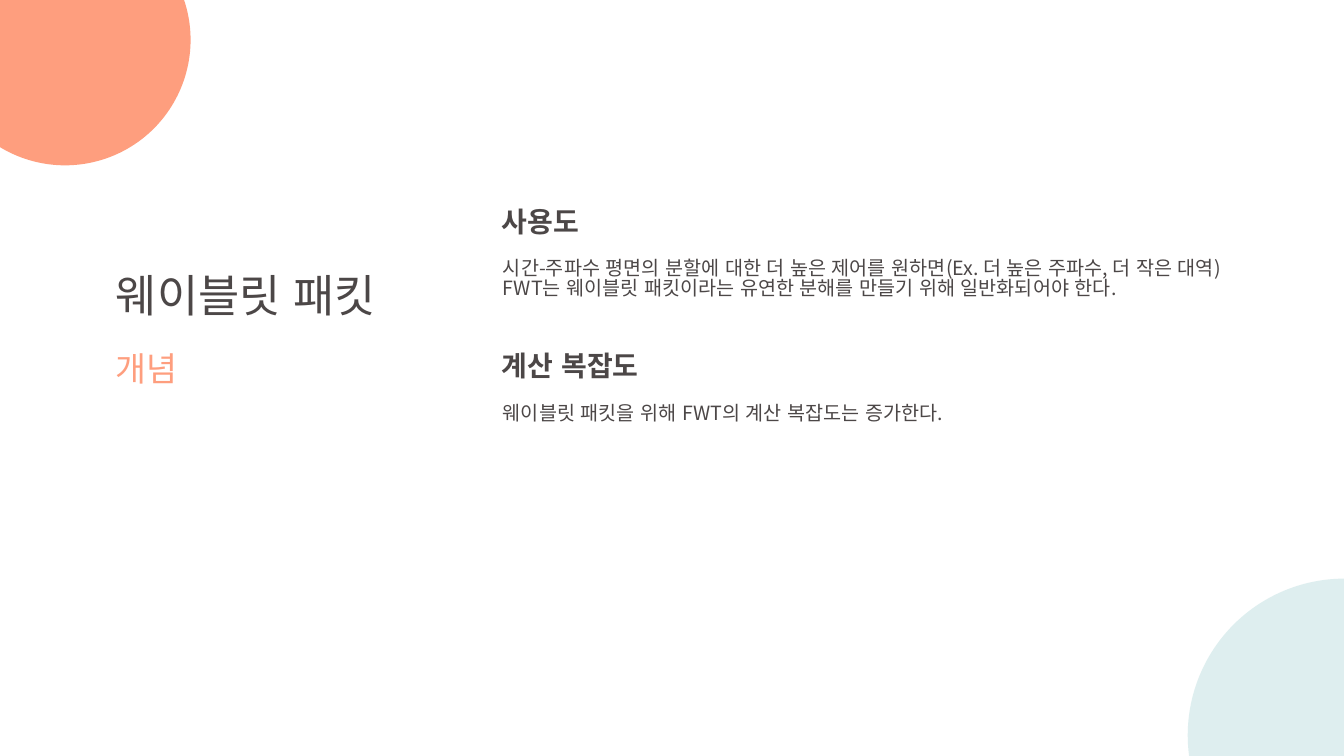
from dataclasses import dataclass

from lxml import etree
from pptx import Presentation
from pptx import util as u
from pptx.dml.color import RGBColor
from pptx.enum import shapes, text
from pptx.oxml.ns import qn


@dataclass(frozen=True)
class Theme:
    font: str = "Noto Sans CJK KR"
    ink: str = "4C4747"
    coral: str = "FE9E7E"
    mint: str = "C8E4E5"
    title: int = 32
    subtitle: int = 24
    heading: int = 20
    body: int = 14
    leading: float = 0.85
    outline_width: float = 0.75
    outline_alpha: int = 20


@dataclass(frozen=True)
class Circle:
    left: float
    top: float
    diameter: float
    color: str
    alpha: int = 100


@dataclass(frozen=True)
class Label:
    left: float
    top: float
    width: float
    height: float
    lines: tuple[str, ...]
    size: int
    color: str
    bold: bool = False


@dataclass(frozen=True)
class Section:
    top: float
    heading: str
    heading_width: float
    lines: tuple[str, ...]
    body_width: float
    body_height: float


THEME = Theme()

CIRCLES = (
    Circle(-0.6, -0.85, 2.49, THEME.coral),
    Circle(11.78, 5.74, 3.11, THEME.mint, 60),
)

TITLES = (
    Label(1.05, 2.69, 3.05, 0.64, ("웨이블릿 패킷",), THEME.title, THEME.ink),
    Label(1.05, 3.46, 0.88, 0.5, ("개념",), THEME.subtitle, THEME.coral),
)

SECTIONS = (
    Section(
        2.03,
        "사용도",
        1.04,
        (
            "시간-주파수 평면의 분할에 대한 더 높은 제어를 원하면(Ex. 더 높은 주파수, 더 작은 대역)",
            "FWT는 웨이블릿 패킷이라는 유연한 분해를 만들기 위해 일반화되어야 한다.",
        ),
        8.05,
        0.57,
    ),
    Section(
        3.46,
        "계산 복잡도",
        1.7,
        ("웨이블릿 패킷을 위해 FWT의 계산 복잡도는 증가한다.",),
        4.93,
        0.34,
    ),
)


def set_alpha(color_element, percent: int) -> None:
    etree.SubElement(color_element, qn("a:alpha"), val=str(percent * 1000))


def draw_circle(slide, circle: Circle) -> None:
    sp = slide.shapes.add_shape(
        shapes.MSO_SHAPE.OVAL,
        u.Inches(circle.left),
        u.Inches(circle.top),
        u.Inches(circle.diameter),
        u.Inches(circle.diameter),
    )
    sp.shadow.inherit = False
    sp.fill.solid()
    sp.fill.fore_color.rgb = RGBColor.from_string(circle.color)
    sp.line.fill.background()
    if circle.alpha < 100:
        set_alpha(sp._element.spPr.find(f".//{qn('a:srgbClr')}"), circle.alpha)


def style_run(r, label: Label) -> None:
    formats = {
        "name": THEME.font,
        "size": u.Pt(label.size),
        "bold": label.bold,
    }
    for name, value in formats.items():
        setattr(r.font, name, value)
    r.font.color.rgb = RGBColor.from_string(label.color)

    properties = r._r.get_or_add_rPr()
    properties.set("lang", "ko-KR")
    etree.SubElement(properties, qn("a:ea"), typeface=THEME.font)
    outline = etree.Element(qn("a:ln"), w=str(u.Pt(THEME.outline_width)))
    fill = etree.SubElement(outline, qn("a:solidFill"))
    color = etree.SubElement(fill, qn("a:srgbClr"), val=label.color)
    set_alpha(color, THEME.outline_alpha)
    properties.insert(0, outline)


def draw_label(slide, label: Label) -> None:
    sp = slide.shapes.add_textbox(
        u.Inches(label.left),
        u.Inches(label.top),
        u.Inches(label.width),
        u.Inches(label.height),
    )
    tf = sp.text_frame
    formats = {
        "word_wrap": False,
        "auto_size": text.MSO_AUTO_SIZE.SHAPE_TO_FIT_TEXT,
        "vertical_anchor": text.MSO_ANCHOR.TOP,
    }
    for name, value in formats.items():
        setattr(tf, name, value)
    for index, line in enumerate(label.lines):
        p = tf.add_paragraph() if index else tf.paragraphs[0]
        p.line_spacing = THEME.leading
        r = p.add_run()
        r.text = line
        style_run(r, label)


def draw_section(slide, section: Section) -> None:
    draw_label(slide, Label(
        4.88, section.top, section.heading_width, 0.44,
        (section.heading,), THEME.heading, THEME.ink, True,
    ))
    draw_label(slide, Label(
        4.89, section.top + 0.5, section.body_width, section.body_height,
        section.lines, THEME.body, THEME.ink,
    ))


def main() -> None:
    prs = Presentation()
    prs.slide_width = u.Inches(13.33)
    prs.slide_height = u.Inches(7.5)
    slide = prs.slides.add_slide(prs.slide_layouts[6])
    for circle in CIRCLES:
        draw_circle(slide, circle)
    for label in TITLES:
        draw_label(slide, label)
    for section in SECTIONS:
        draw_section(slide, section)
    prs.save("out.pptx")


if __name__ == "__main__":
    main()
